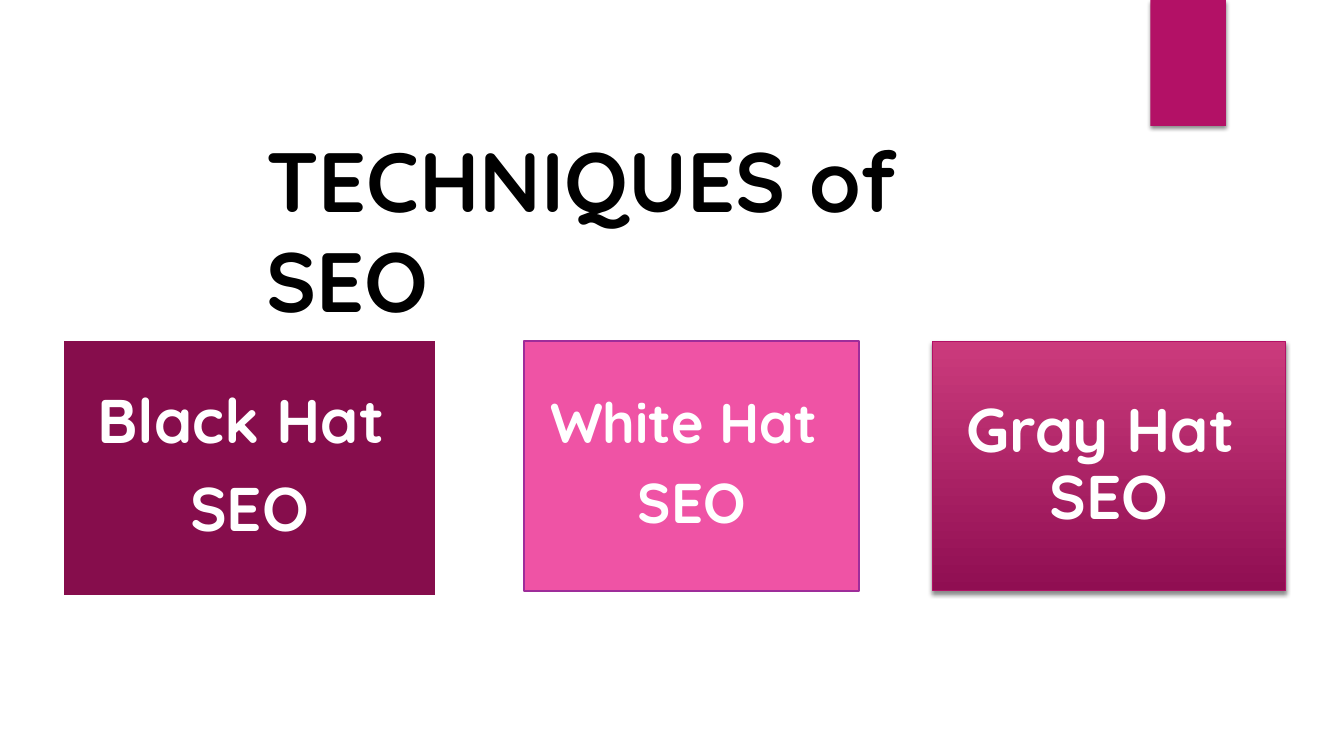
from lxml.etree import SubElement
from pptx import Presentation
from pptx.dml.color import RGBColor
from pptx.enum.shapes import MSO_SHAPE
from pptx.enum.text import MSO_ANCHOR, MSO_AUTO_SIZE, PP_ALIGN
from pptx.oxml.ns import qn
from pptx.util import Inches, Pt

TITLE = "TECHNIQUES of SEO"
TITLE_PLACE = (2.54, 1.22, 8.02, 1.11)
RIBBON_PLACE = (11.41, 0, 0.75, 1.25)
TECHNIQUES = [
    {"lines": ["Black Hat ", "SEO"], "place": (0.62, 3.37, 3.71, 2.54),
     "colors": ["860D4C"], "border": ("FFFFFF", 1.5), "size": 44, "raised": False},
    {"lines": ["White Hat ", "SEO"], "place": (5.2, 3.38, 3.32, 2.48),
     "colors": ["EF53A5"], "border": ("9E2D9A", 1.5), "size": 40, "raised": False},
    {"lines": ["Gray Hat \vSEO"], "place": (9.25, 3.39, 3.5, 2.47),
     "colors": ["CB3B7C", "900E52"], "border": ("B31166", 0.75), "size": 44, "raised": True},
]
THEME = {"font": "Quicksand", "title": "000000", "title_size": 60,
         "label": "FFFFFF", "ribbon": "B31166", "shadow": "000000"}


def set_all(target, values):
    """Set every attribute named in a dict of format values."""
    for name, value in values.items():
        setattr(target, name, value)


def style_font(font, size, color):
    """Apply the bold theme typeface."""
    set_all(font, {"name": THEME["font"], "size": Pt(size), "bold": True})
    font.color.rgb = RGBColor.from_string(color)


def add_block(slide, place, colors, raised):
    """Add a rectangle with a plain or top-to-bottom gradient fill."""
    block = slide.shapes.add_shape(MSO_SHAPE.RECTANGLE, *map(Inches, place))
    block.shadow.inherit = False
    if len(colors) > 1:
        block.fill.gradient()
        block.fill.gradient_angle = 270
        for stop, color in zip(block.fill.gradient_stops, colors):
            stop.color.rgb = RGBColor.from_string(color)
    else:
        block.fill.solid()
        block.fill.fore_color.rgb = RGBColor.from_string(colors[0])
    block.line.fill.background()
    if raised:
        effects = block._element.spPr.find(qn("a:effectLst"))
        shade = SubElement(effects, qn("a:outerShdw"), blurRad=str(Pt(3)),
                           dist=str(Pt(2)), dir="5400000", rotWithShape="0")
        tint = SubElement(shade, qn("a:srgbClr"), val=THEME["shadow"])
        SubElement(tint, qn("a:alpha"), val="45000")
    return block


def add_technique(slide, technique):
    """Add one bordered block with its centred label."""
    block = add_block(slide, technique["place"], technique["colors"], technique["raised"])
    border, width = technique["border"]
    block.line.color.rgb = RGBColor.from_string(border)
    block.line.width = Pt(width)
    label = block.text_frame
    margins = ("margin_left", "margin_top", "margin_right", "margin_bottom")
    set_all(label, {"word_wrap": True, "vertical_anchor": MSO_ANCHOR.MIDDLE,
                    **dict.fromkeys(margins, Inches(0.03))})
    label.text = "\n".join(technique["lines"])
    for paragraph in label.paragraphs:
        set_all(paragraph, {"alignment": PP_ALIGN.CENTER, "line_spacing": 0.9})
        after = SubElement(paragraph._p.get_or_add_pPr(), qn("a:spcAft"))
        SubElement(after, qn("a:spcPct"), val="35000")
        for run in paragraph.runs:
            style_font(run.font, technique["size"], THEME["label"])


def main():
    """Build and save the slide."""
    deck = Presentation()
    set_all(deck, {"slide_width": Inches(13.33), "slide_height": Inches(7.5)})
    slide = deck.slides.add_slide(deck.slide_layouts[5])
    add_block(slide, RIBBON_PLACE, [THEME["ribbon"]], True)
    title = slide.shapes.title
    set_all(title, dict(zip(("left", "top", "width", "height"), map(Inches, TITLE_PLACE))))
    title.text = TITLE
    set_all(title.text_frame, {"word_wrap": True, "vertical_anchor": MSO_ANCHOR.TOP,
                               "auto_size": MSO_AUTO_SIZE.SHAPE_TO_FIT_TEXT})
    heading = title.text_frame.paragraphs[0]
    heading.alignment = PP_ALIGN.LEFT
    style_font(heading.runs[0].font, THEME["title_size"], THEME["title"])
    for technique in TECHNIQUES:
        add_technique(slide, technique)
    deck.save("out.pptx")


if __name__ == "__main__":
    main()
